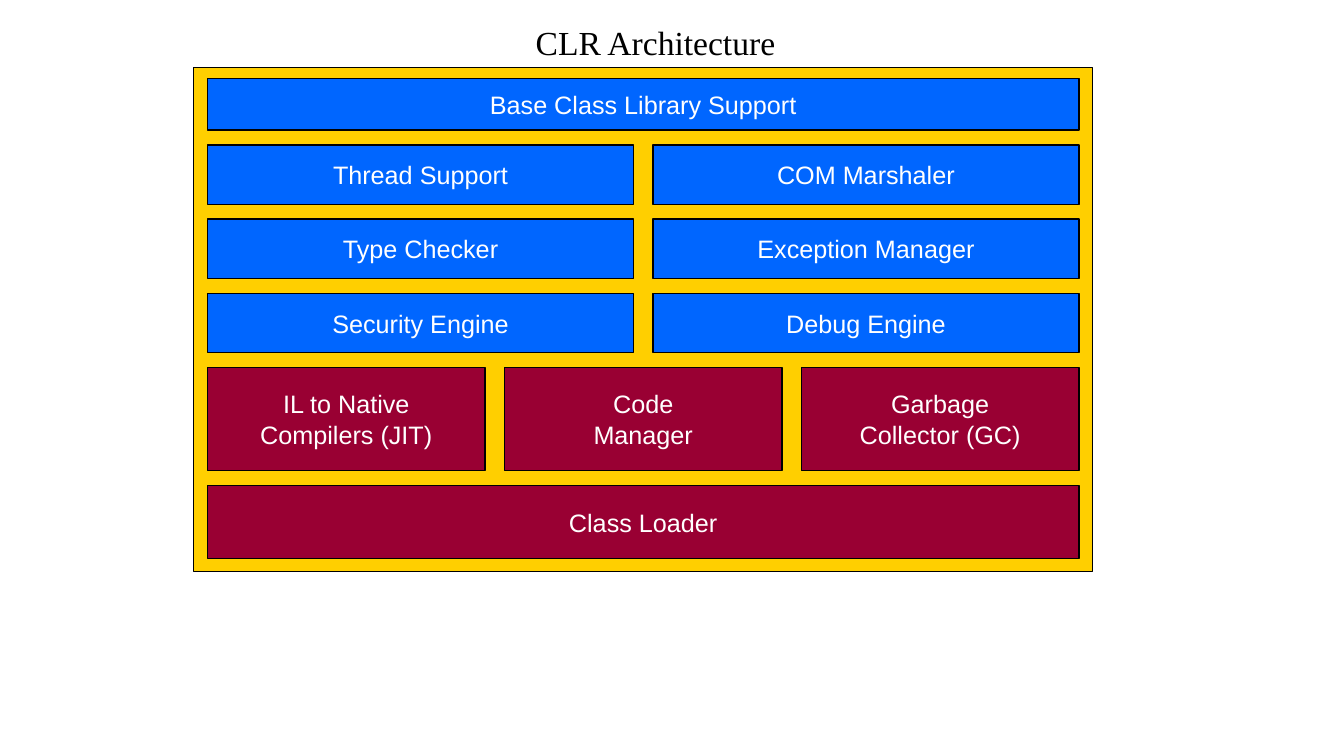
import pptx
import pptx.dml.color
import pptx.enum.shapes
import pptx.enum.text
import pptx.util
from pptx.util import Cm

COLOURS = {"frame": "FFCF00", "service": "0066FF", "core": "990033",
           "border": "000000", "title": "000000", "label": "FFFFFF"}

# Layers from top to bottom: height in cm, colour, labels
LAYERS = [
    (1.3, "service", ["Base Class Library Support"]),
    (1.5, "service", ["Thread Support", "COM Marshaler"]),
    (1.5, "service", ["Type Checker", "Exception Manager"]),
    (1.5, "service", ["Security Engine", "Debug Engine"]),
    (2.6, "core", ["IL to Native\nCompilers (JIT)", "Code\nManager",
                   "Garbage\nCollector (GC)"]),
    (1.85, "core", ["Class Loader"]),
]
PAD_X, PAD_Y = 0.35, 0.28
COLUMN_GAP, LAYER_GAP = 0.49, 0.37


def rgb(name):
    return pptx.dml.color.RGBColor.from_string(COLOURS[name])


def write(frame, text, *, font, size, colour, anchor, wrap):
    frame.text = text
    frame.word_wrap = wrap
    frame.auto_size = pptx.enum.text.MSO_AUTO_SIZE.NONE
    frame.vertical_anchor = anchor
    for paragraph in frame.paragraphs:
        paragraph.alignment = pptx.enum.text.PP_ALIGN.CENTER
        for run in paragraph.runs:
            run.font.name = font
            run.font.size = pptx.util.Pt(size)
            run.font.color.rgb = rgb(colour)


def add_block(shapes, left, top, width, height, colour):
    block = shapes.add_shape(pptx.enum.shapes.MSO_SHAPE.RECTANGLE,
                             Cm(left), Cm(top), Cm(width), Cm(height))
    block.shadow.inherit = False
    block.fill.solid()
    block.fill.fore_color.rgb = rgb(colour)
    block.line.color.rgb = rgb("border")
    block.line.width = pptx.util.Pt(1)
    return block


def place_title(slide, left, top, width, height):
    title = slide.shapes.title
    title.left, title.top = Cm(left), Cm(top)
    title.width, title.height = Cm(width), Cm(height)
    write(title.text_frame, "CLR Architecture", font="Times New Roman", size=24,
          colour="title", anchor=pptx.enum.text.MSO_ANCHOR.TOP, wrap=True)


def draw_architecture(slide, left, top, width, height):
    shapes = slide.shapes.add_group_shape().shapes
    # Yellow frame
    add_block(shapes, left, top, width, height, "frame")
    # Layers, each split into equal columns
    inner_width = width - 2 * PAD_X
    layer_top = top + PAD_Y
    for layer_height, colour, labels in LAYERS:
        column = (inner_width - COLUMN_GAP * (len(labels) - 1)) / len(labels)
        for index, label in enumerate(labels):
            component = add_block(
                shapes, left + PAD_X + index * (column + COLUMN_GAP),
                layer_top, column, layer_height, colour)
            write(component.text_frame, label, font="Arial", size=18,
                  colour="label", anchor=pptx.enum.text.MSO_ANCHOR.MIDDLE,
                  wrap=False)
        layer_top += layer_height + LAYER_GAP


presentation = pptx.Presentation()
presentation.slide_width, presentation.slide_height = Cm(33.87), Cm(19.05)
clr_slide = presentation.slides.add_slide(presentation.slide_layouts[5])
draw_architecture(clr_slide, 4.88, 1.7, 22.66, 12.7)
place_title(clr_slide, 6.78, 0.43, 19.48, 1.27)
presentation.save("out.pptx")
